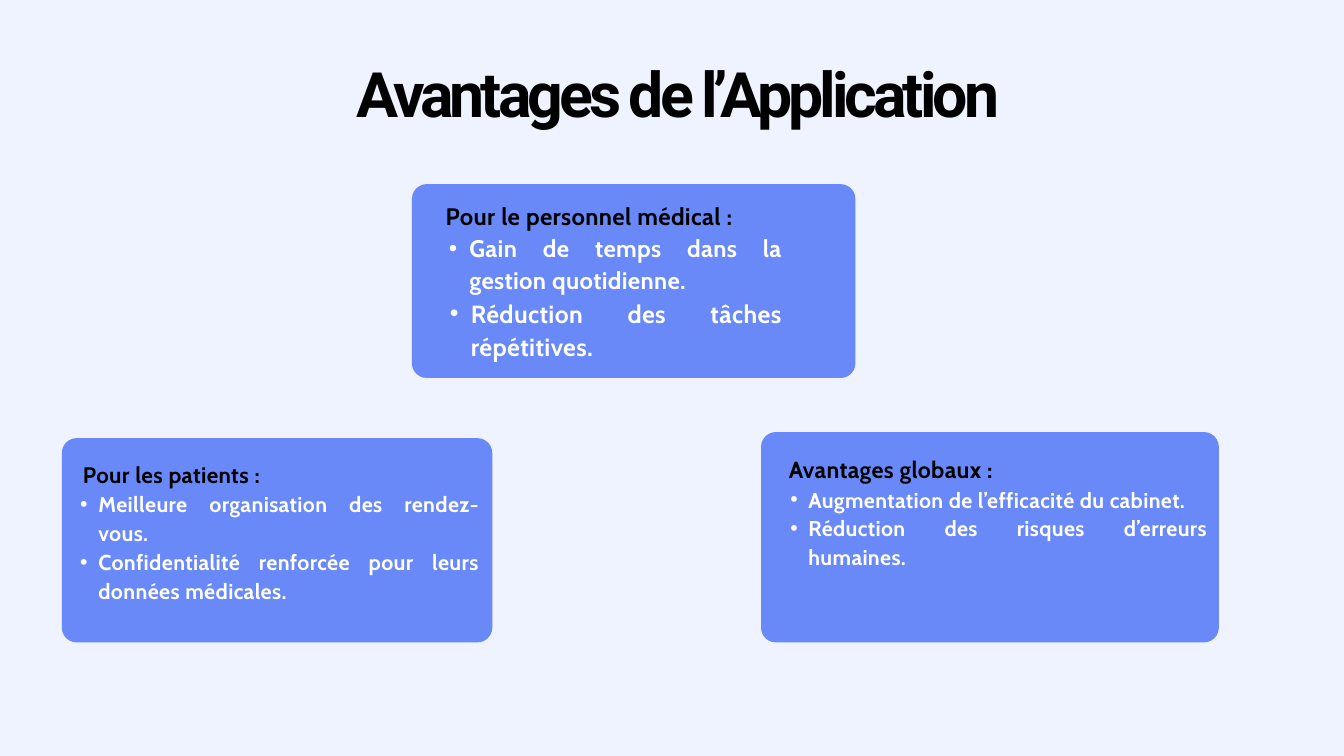
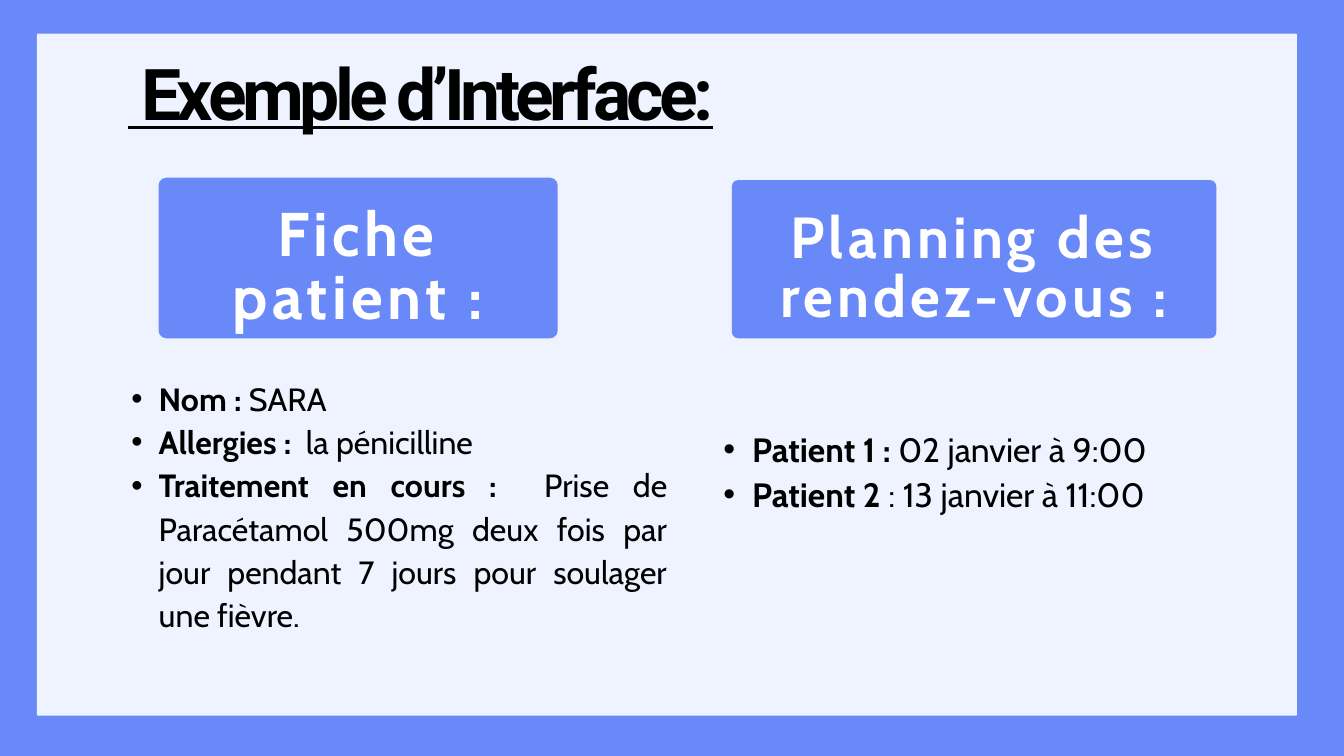
from dataclasses import dataclass
from lxml.etree import SubElement
from pptx import Presentation
from pptx.dml.color import RGBColor
from pptx.enum.shapes import MSO_SHAPE
from pptx.enum.text import MSO_ANCHOR, MSO_AUTO_SIZE, PP_ALIGN
from pptx.oxml.ns import qn
from pptx.util import Inches, Pt


@dataclass(frozen=True)
class Theme:
    """Colours, fonts, type sizes and the rules of spacing."""
    pale: str = "EFF3FF"
    blue: str = "6989F9"
    ink: str = "000000"
    white: str = "FFFFFF"
    head: str = "Roboto"
    body: str = "Cabin"
    titles: tuple = (67, 76.5)
    labels: tuple = (66, 62)
    heads: tuple = (25.6, 24, 24.9)
    items: tuple = (25.6, 26.6, 23, 22.9)
    lists: tuple = (34.4, 36.1)
    card_gap: float = 0.4
    title_gap: float = -0.064
    label_gap: float = 0.071
    title_lead: float = 1.04
    label_lead: float = 1.03
    body_lead: float = 1.35
    hang: float = 0.85


T = Theme()
WIDE, HIGH = Inches(20), Inches(11.25)
COLS, ROWS = 80, 45
CELL = WIDE // COLS


def grid(*cells):
    """Turn counts of grid cells into lengths."""
    return [round(n * CELL) for n in cells]


def place(shape, spot):
    """Put a shape on the grid."""
    shape.left, shape.top, shape.width, shape.height = grid(*spot)


def frame(shape, anchor=MSO_ANCHOR.TOP, pad=0, top=0):
    """Set up wrapping and margins and return the text frame."""
    text = shape.text_frame
    text.word_wrap = True
    text.auto_size = MSO_AUTO_SIZE.NONE
    text.vertical_anchor = anchor
    text.margin_left, text.margin_right, text.margin_bottom, text.margin_top = grid(pad, pad, pad, top)
    return text


def write(para, words, size, font=T.body, tint=T.ink, bold=True, gap=0, line=False):
    """Add one run to a paragraph."""
    run = para.add_run()
    run.text = words
    run.font.name, run.font.size = font, Pt(size)
    run.font.bold = bold
    run.font.underline = line or None
    run.font.color.rgb = RGBColor.from_string(tint)
    if gap:
        run.font._element.set("spc", str(round(gap * 100)))


def start(text, size, lead=T.body_lead, align=PP_ALIGN.JUSTIFY):
    """Open the next paragraph of a text frame."""
    last = text.paragraphs[-1]
    para = text.add_paragraph() if last.runs else last
    para.alignment = align
    para.line_spacing = Pt(round(size * lead, 1))
    para.space_before = para.space_after = Pt(0)
    return para


def bullet(text, size):
    """Open a bulleted paragraph with a hanging indent."""
    para = start(text, size)
    props = para._p.get_or_add_pPr()
    hang = Pt(size * T.hang)
    props.set("marL", str(hang * 2))
    props.set("indent", str(-hang))
    SubElement(props, qn("a:buFont")).set("typeface", "Arial")
    SubElement(props, qn("a:buChar")).set("char", "•")
    return para


def page(deck, tint):
    """Add a title-only slide on a plain ground."""
    slide = deck.slides.add_slide(deck.slide_layouts[5])
    slide.background.fill.solid()
    slide.background.fill.fore_color.rgb = RGBColor.from_string(tint)
    return slide


def title(slide, words, spot, size, line=False):
    """Place the title in front of what is there."""
    shape = slide.shapes.title
    tree = shape.element.getparent()
    tree.append(shape.element)
    place(shape, spot)
    para = start(frame(shape), size, T.title_lead, PP_ALIGN.CENTER)
    write(para, words, size, T.head, gap=size * T.title_gap, line=line)


def block(slide, spot, curve, tint=T.blue):
    """Draw a plain rounded block."""
    shape = slide.shapes.add_shape(MSO_SHAPE.ROUNDED_RECTANGLE, *grid(*spot))
    shape.adjustments[0] = curve / min(spot[2:])
    shape.shadow.inherit = False
    shape.fill.solid()
    shape.fill.fore_color.rgb = RGBColor.from_string(tint)
    shape.line.fill.background()
    return shape


def label(slide, words, spot, size, curve):
    """Draw a block with a large centred label."""
    text = frame(block(slide, spot, curve), MSO_ANCHOR.MIDDLE, 0.24, 1.5)
    para = start(text, size, T.label_lead, PP_ALIGN.CENTER)
    write(para, words, size, tint=T.white, gap=size * T.label_gap)


def card(slide, spot, inner, head, size, inset, items):
    """Draw a block with a heading and its bulleted points."""
    block(slide, spot, 0.88)
    text = frame(slide.shapes.add_textbox(*grid(*inner)))
    para = start(text, size)
    para._p.get_or_add_pPr().set("marL", str(grid(inset)[0]))
    write(para, head, size, gap=T.card_gap)
    for words, scale in items:
        write(bullet(text, scale), words, scale, tint=T.white, gap=T.card_gap)


def facts(slide, spot, size, pairs):
    """Write bulleted pairs of a bold name and a plain value."""
    text = frame(slide.shapes.add_textbox(*grid(*spot)))
    for name, value in pairs:
        para = bullet(text, size)
        write(para, name, size)
        write(para, value, size, bold=False)


def gains(deck):
    """Build the slide of benefits."""
    slide = page(deck, T.pale)
    title(slide, " Avantages de l’Application", (10.2, 3.88, 59.6, 4), T.titles[0])
    card(slide, (45.3, 25.72, 27.25, 12.52), (45.96, 26.92, 25.92, 10.36),
         "Avantages globaux :", T.heads[2], 1,
         [("Augmentation de l’efficacité du cabinet.", T.items[3]),
          ("Réduction des risques d’erreurs humaines.", T.items[3])])
    card(slide, (24.52, 10.96, 26.4, 11.54), (25.52, 11.76, 21.04, 11.8),
         "Pour le personnel médical :", T.heads[0], 1,
         [("Gain de temps dans la gestion quotidienne.", T.items[0]),
          ("Réduction des tâches répétitives.", T.items[1])])
    card(slide, (3.68, 26.08, 25.62, 12.16), (3.68, 27.24, 24.88, 11.24),
         "Pour les patients :", T.heads[1], 1.25,
         [("Meilleure organisation des rendez-vous.", T.items[2]),
          ("Confidentialité renforcée pour leurs données médicales.", T.items[2])])


def sample(deck):
    """Build the slide of the sample interface."""
    slide = page(deck, T.blue)
    block(slide, (2.2, 2, 75, 40.6), 0.08, T.pale)
    label(slide, "Fiche patient :", (9.44, 10.58, 23.76, 9.56), T.labels[0], 0.46)
    facts(slide, (6.2, 22.28, 33.52, 17.64), T.lists[0],
          [("Nom : ", "SARA"),
           ("Allergies :", "  la pénicilline"),
           ("Traitement en cours : ",
            " Prise de Paracétamol 500mg deux fois par jour pendant 7 jours "
            "pour soulager une fièvre.")])
    label(slide, "Planning des rendez-vous :", (43.56, 10.72, 28.84, 9.42), T.labels[1], 0.38)
    facts(slide, (41.36, 25.2, 31.04, 8.16), T.lists[1],
          [("Patient 1 :", " 02 janvier à 9:00"),
           ("Patient 2 ", ": 13 janvier à 11:00")])
    title(slide, " Exemple d’Interface:", (2.4, 3.6, 45.3, 4.64), T.titles[1], True)


def main():
    """Build and save the deck."""
    deck = Presentation()
    deck.slide_width, deck.slide_height = WIDE, CELL * ROWS
    gains(deck)
    sample(deck)
    deck.save("out.pptx")


if __name__ == "__main__":
    main()
